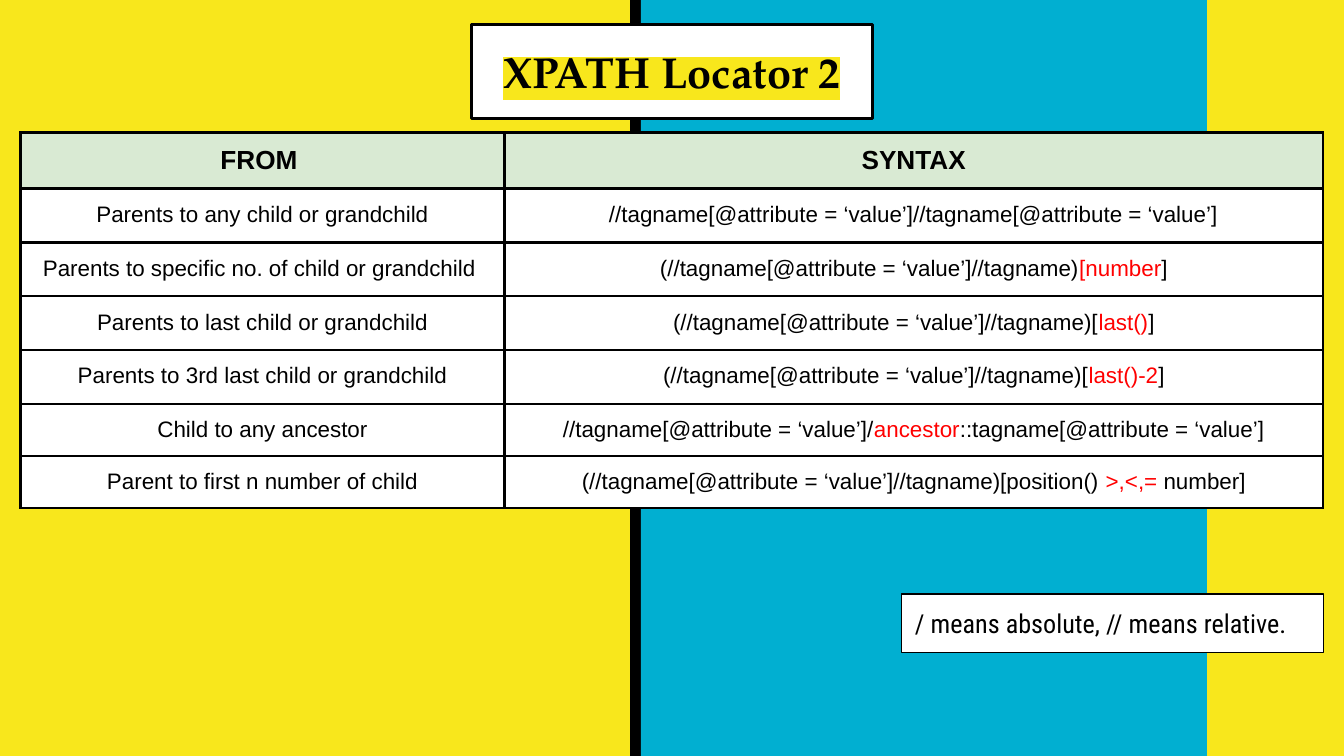
from lxml.etree import SubElement as Sub
from pptx import Presentation
from pptx.dml.color import RGBColor
from pptx.enum.shapes import MSO_SHAPE as Form
from pptx.enum.text import MSO_ANCHOR as Anchor, PP_ALIGN as Align
from pptx.oxml.ns import qn
from pptx.util import Inches, Pt

COLS, ROWS = 100, 56.25
BLACK, WHITE, RED = "000000", "FFFFFF", "FF0000"
YELLOW, BLUE, GREEN = "F8E71C", "01AFD1", "D9EAD3"
PAIRS = [
    ("FROM ", "SYNTAX"),
    ("Parents to any child or grandchild",
     "//tagname[@attribute = ‘value’]//tagname[@attribute = ‘value’]"),
    ("Parents to specific no. of child or grandchild ",
     "(//tagname[@attribute = ‘value’]//tagname)|[number|]"),
    ("Parents to last child or grandchild",
     "(//tagname[@attribute = ‘value’]//tagname)[|last()|]"),
    ("Parents to 3rd last child or grandchild",
     "(//tagname[@attribute = ‘value’]//tagname)[|last()-2|]"),
    ("Child to any ancestor",
     "//tagname[@attribute = ‘value’]/|ancestor|::tagname[@attribute = ‘value’]"),
    ("Parent to first n number of child",
     "(//tagname[@attribute = ‘value’]//tagname)[position() |>,<,=| number]"),
]


def unit(n):
    return Inches(n / 10)


def color(code):
    return RGBColor.from_string(code)


def paint(fill, code):
    fill.solid()
    fill.fore_color.rgb = color(code)


def write(frame, text, size=12, font="Arial", bold=False, align=Align.CENTER, mark=None):
    para = frame.paragraphs[0]
    para.alignment = align
    for i, part in enumerate(text.split("|")):
        run = para.add_run()
        run.text = part
        run.font.size, run.font.name, run.font.bold = Pt(size), font, bold
        run.font.color.rgb = color(RED if i % 2 else BLACK)
        if mark:
            props = run.font._element
            glow = Sub(props, qn("a:highlight"))
            Sub(glow, qn("a:srgbClr"), val=mark)
            props.find(qn("a:solidFill")).addnext(glow)


def panel(slide, box, fill, line=None):
    shape = slide.shapes.add_shape(Form.RECTANGLE, *map(unit, box))
    shape.shadow.inherit = False
    paint(shape.fill, fill)
    if line:
        shape.line.color.rgb = color(BLACK)
        shape.line.width = Pt(line)
    else:
        shape.line.fill.background()
    return shape


def label(slide, box, text, line, anchor, **style):
    frame = panel(slide, box, WHITE, line).text_frame
    frame.word_wrap = True
    frame.vertical_anchor = anchor
    frame.margin_left = frame.margin_right = unit(1)
    frame.margin_top = frame.margin_bottom = unit(1)
    write(frame, text, **style)


def stripes(slide, box):
    left, top, width, height = box
    edge = 0.8
    panel(slide, (left, top, edge, height), BLACK)
    panel(slide, (left + edge, top, width - edge, height), BLUE)


def border(cell):
    props = cell._tc.get_or_add_tcPr()
    for side in "LRTB":
        line = Sub(props, qn(f"a:ln{side}"), w=str(Pt(1.5)))
        Sub(Sub(line, qn("a:solidFill")), qn("a:srgbClr"), val=BLACK)


def grid(slide, box, pairs):
    table = slide.shapes.add_table(len(pairs), 2, *map(unit, box)).table
    table.first_row = table.horz_banding = False
    first = 36
    for col, width in zip(table.columns, (first, box[2] - first)):
        col.width = unit(width)
    for i, (row, pair) in enumerate(zip(table.rows, pairs)):
        head = i == 0
        row.height = unit(2.6 if head else 4 if i < 5 else 1.1)
        for cell, text in zip(row.cells, pair):
            border(cell)
            paint(cell.fill, GREEN if head else WHITE)
            cell.margin_left = cell.margin_right = unit(1)
            cell.margin_top = cell.margin_bottom = unit(1)
            write(cell.text_frame, text, size=14 if head else 12, bold=head)


def main():
    deck = Presentation()
    deck.slide_width, deck.slide_height = unit(COLS), unit(ROWS)
    slide = deck.slides.add_slide(deck.slide_layouts[6])
    paint(slide.background.fill, YELLOW)
    stripes(slide, (46.88, 0, 42.92, ROWS))
    grid(slide, (1.54, 9.85, 96.9, 20.8), PAIRS)
    label(slide, (35.1, 1.8, 29.8, 7), "XPATH Locator 2", 1.5, Anchor.MIDDLE,
          size=23.2, font="TeX Gyre Pagella", bold=True, mark=YELLOW)
    label(slide, (67.1, 44.2, 31.4, 4.36), "/ means absolute, // means relative.",
          0.75, Anchor.TOP, size=14, font="Roboto Condensed", align=Align.LEFT)
    deck.save("out.pptx")


if __name__ == "__main__":
    main()
